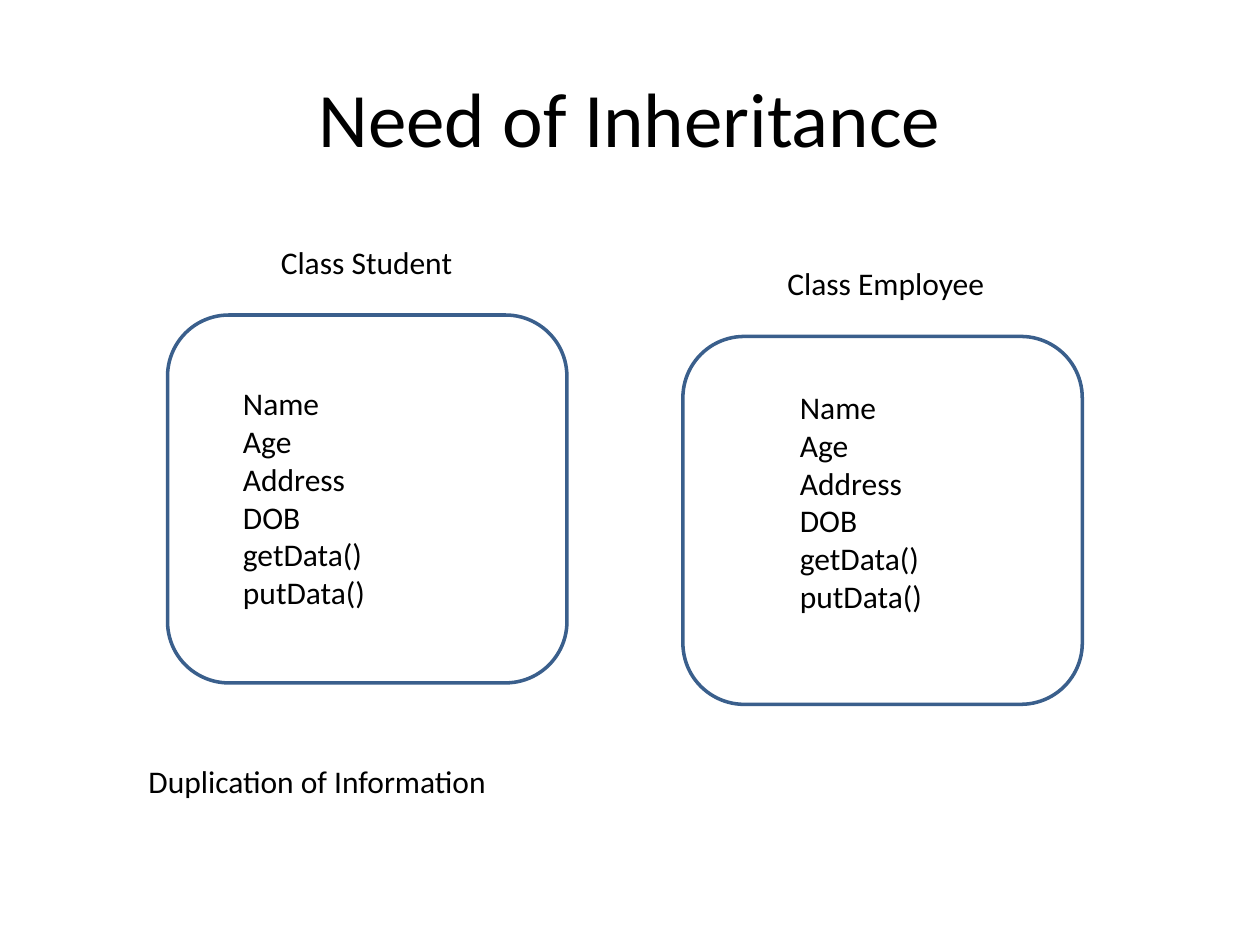
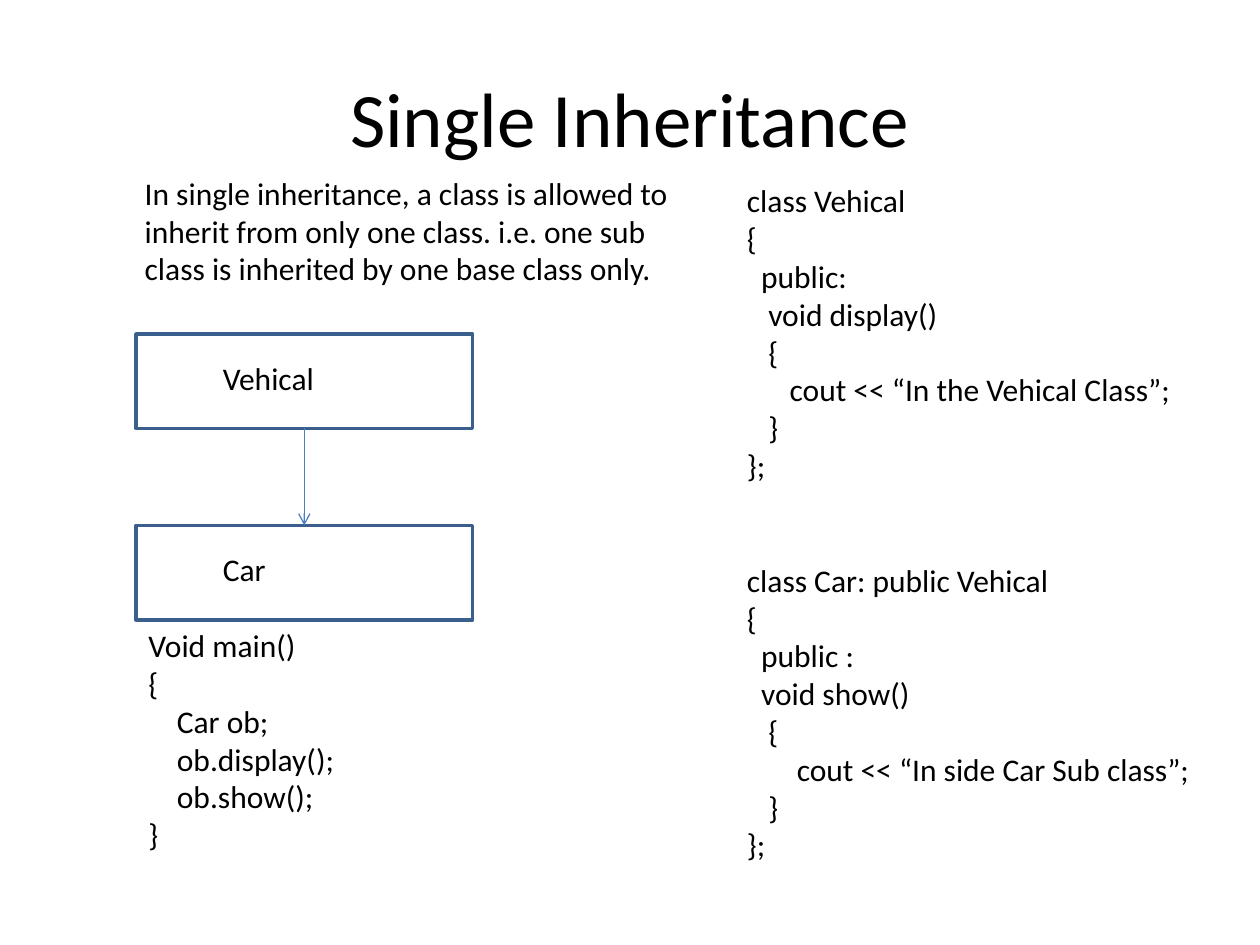
from dataclasses import dataclass

from lxml import etree
from pptx import Presentation
from pptx import util as u
from pptx.dml.color import RGBColor
from pptx.enum import shapes, text
from pptx.oxml import ns

PX = 9144


@dataclass(frozen=True)
class Theme:
    font: str = "Calibri"
    ink: RGBColor = RGBColor(0x00, 0x00, 0x00)
    outline: RGBColor = RGBColor(0x3A, 0x5F, 0x8C)
    arrow: RGBColor = RGBColor(0x4B, 0x7E, 0xBC)
    title_pt: int = 44
    body_pt: int = 18
    outline_pt: float = 2
    arrow_pt: float = 0.75
    blank_lines_pt: int = 44
    indent_px: float = 5.65


THEME = Theme()

MEMBERS = ["Name", "Age", "Address", "DOB", "getData()", "putData()"]

VEHICAL_CODE = [
    "class Vehical",
    "{",
    (2, "public:"),
    (3, "void display()"),
    (3, "{"),
    (6, "cout << “In the Vehical Class”;"),
    (3, "}"),
    "};",
]

CAR_CODE = [
    "class Car: public Vehical",
    "{",
    (2, "public :"),
    (2, "void show()"),
    (3, "{"),
    (7, "cout << “In side Car Sub class”;"),
    (3, "}"),
    "};",
]

MAIN_CODE = [
    "Void main()",
    "{",
    (4, "Car ob;"),
    (4, "ob.display();"),
    (4, "ob.show();"),
    "}",
]


def px(*lengths):
    return [u.Emu(round(n * PX)) for n in lengths]


def style(p, size):
    p.font.name = THEME.font
    p.font.size = u.Pt(size)
    p.font.color.rgb = THEME.ink


def add_title(s, title):
    tf = s.shapes.add_textbox(*px(50, 30, 900, 125)).text_frame
    tf.word_wrap = True
    tf.vertical_anchor = text.MSO_ANCHOR.MIDDLE
    p = tf.paragraphs[0]
    p.text = title
    p.alignment = text.PP_ALIGN.CENTER
    style(p, THEME.title_pt)


def add_text(s, box, lines, wrap=False):
    tf = s.shapes.add_textbox(*px(*box)).text_frame
    tf.word_wrap = wrap
    tf.auto_size = text.MSO_AUTO_SIZE.SHAPE_TO_FIT_TEXT
    for i, line in enumerate(lines):
        depth, words = line if isinstance(line, tuple) else (0, line)
        p = tf.add_paragraph() if i else tf.paragraphs[0]
        p.text = words
        style(p, THEME.body_pt)
        if depth:
            indent = px(depth * THEME.indent_px)[0]
            p._p.get_or_add_pPr().set("marL", str(indent))
    return tf


def add_outline(s, kind, box):
    sp = s.shapes.add_shape(kind, *px(*box))
    sp.shadow.inherit = False
    sp.fill.background()
    sp.line.color.rgb = THEME.outline
    sp.line.width = u.Pt(THEME.outline_pt)
    return sp


def add_arrow(s, upper, lower):
    c = s.shapes.add_connector(shapes.MSO_CONNECTOR.STRAIGHT, 0, 0, 0, 0)
    c.begin_connect(upper, 2)
    c.end_connect(lower, 0)
    c.line.color.rgb = THEME.arrow
    c.line.width = u.Pt(THEME.arrow_pt)
    etree.SubElement(c.line._get_or_add_ln(), ns.qn("a:tailEnd"), type="arrow")
    etree.SubElement(c._element.spPr, ns.qn("a:effectLst"))


def add_class_card(s, name, left, top, name_box, members_box):
    add_outline(s, shapes.MSO_SHAPE.ROUNDED_RECTANGLE, (left, top, 317, 292))
    add_text(s, name_box, [name])
    add_text(s, members_box, MEMBERS)


def add_class_box(s, name, top, name_width):
    sp = add_outline(s, shapes.MSO_SHAPE.RECTANGLE, (108, top, 267, 75))
    add_text(s, (167, top + 15, name_width, 40), [name])
    return sp


def add_slide(prs, title):
    s = prs.slides.add_slide(prs.slide_layouts[6])
    add_title(s, title)
    return s


def build_need(prs):
    s = add_slide(prs, "Need of Inheritance")
    add_class_card(s, "Class Student", 133, 250,
                   (213, 188, 158, 40), (183, 300, 151, 192))
    add_class_card(s, "Class Employee", 542, 267,
                   (615, 205, 178, 40), (625, 303, 151, 192))
    add_text(s, (108, 600, 291, 40), ["Duplication of Information"])


def build_single(prs):
    s = add_slide(prs, "Single Inheritance")
    vehical = add_class_box(s, "Vehical", 265, 93)
    car = add_class_box(s, "Car", 417, 55)
    add_arrow(s, vehical, car)
    tf = add_text(s, (583, 139, 376, 555), VEHICAL_CODE + CAR_CODE)
    tf.paragraphs[len(VEHICAL_CODE)].space_before = u.Pt(THEME.blank_lines_pt)
    add_text(s, (108, 492, 170, 192), MAIN_CODE)
    add_text(s, (105, 133, 462, 101),
             ["In single inheritance, a class is allowed to inherit from only "
              "one class. i.e. one sub class is inherited by one base class "
              "only."], wrap=True)


def main():
    prs = Presentation()
    prs.slide_width, prs.slide_height = px(1000, 750)
    build_need(prs)
    build_single(prs)
    prs.save("out.pptx")


if __name__ == "__main__":
    main()
